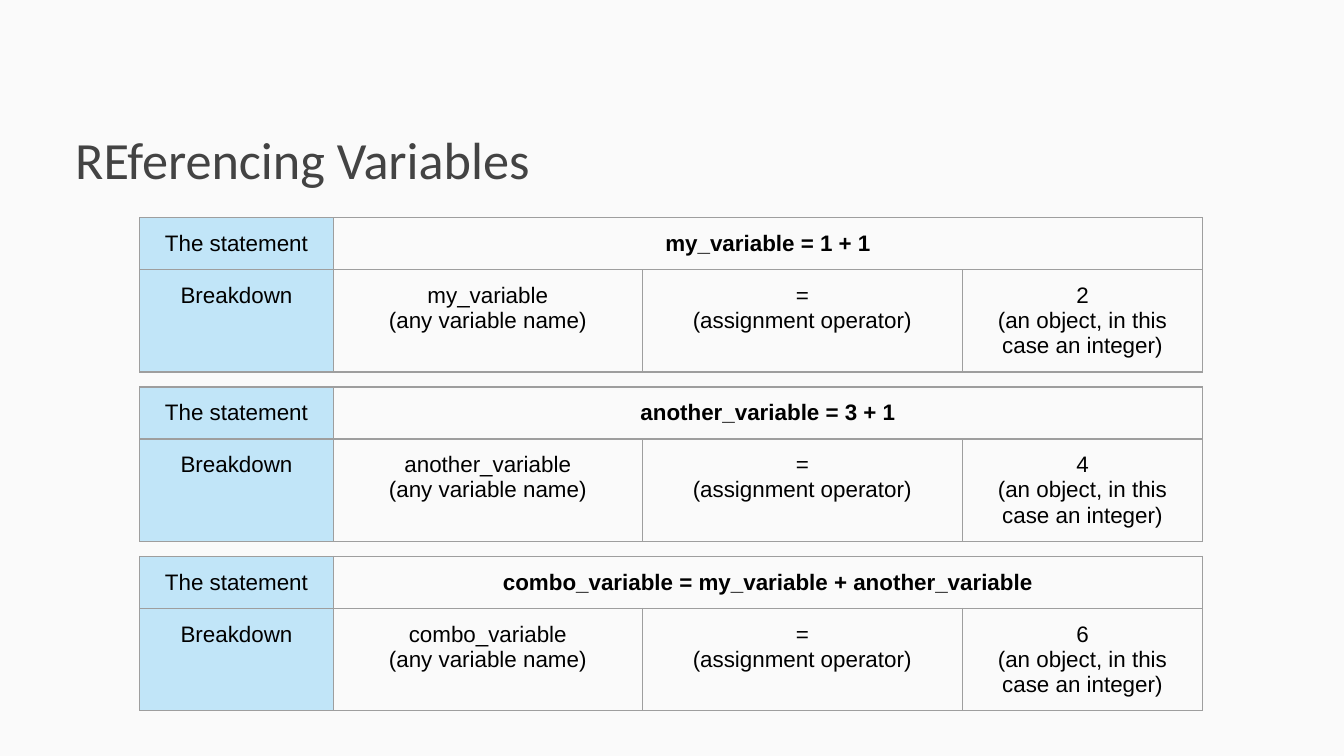
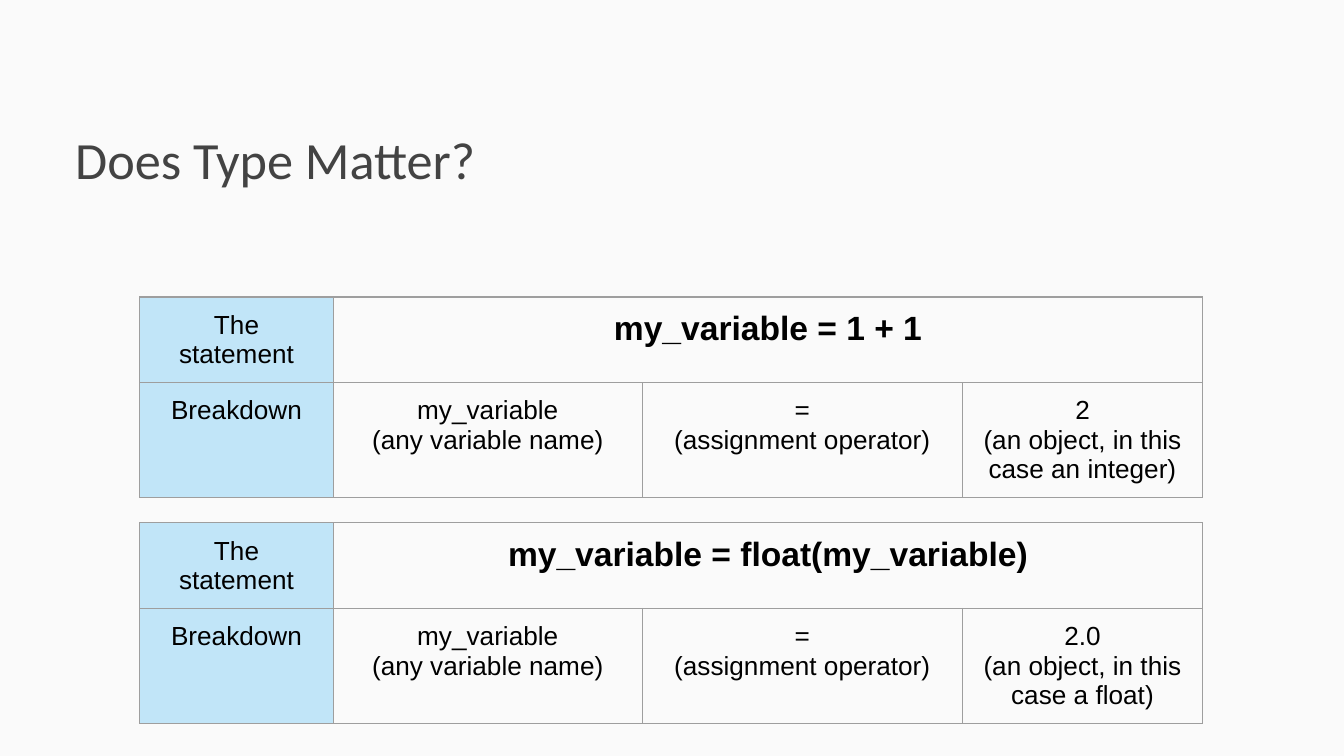
from lxml.etree import SubElement
from pptx import Presentation
from pptx.dml.color import RGBColor
from pptx.enum.text import MSO_ANCHOR, MSO_AUTO_SIZE, PP_ALIGN
from pptx.oxml.ns import qn
from pptx.util import Inches, Pt

# Shared look
BG, TITLE, INK = "FAFAFA", "434343", "000000"
LABEL_FILL, GRID = "C1E5F8", "9E9E9E"
INSET = Inches(0.1)
LEFT = 1.04
COLS = [1.44, 2.3, 2.38, 1.79]


def rgb(value):
    return RGBColor.from_string(value)


def write(tf, text, font="Arial", size=12, color=INK, bold=False,
          align=PP_ALIGN.CENTER):
    """Fill a text frame, one paragraph per line of text."""
    tf.word_wrap = True
    tf.margin_left = tf.margin_right = INSET
    tf.margin_top = tf.margin_bottom = INSET
    for i, line in enumerate(text.split("\n")):
        p = tf.paragraphs[0] if i == 0 else tf.add_paragraph()
        p.alignment = align
        r = p.add_run()
        r.text = line
        r.font.name, r.font.size, r.font.bold = font, Pt(size), bold
        r.font.color.rgb = rgb(color)


# Each table: statement, variable, value, type of the value
slides = [
    dict(title="REferencing Variables", width=8.49, top=1.62, step=1.26,
         rows=[0.37, 0.73], size=12, statement_size=12,
         tables=[
             ("my_variable = 1 + 1", "my_variable", "2", "an integer"),
             ("another_variable = 3 + 1", "another_variable", "4", "an integer"),
             ("combo_variable = my_variable + another_variable",
              "combo_variable", "6", "an integer"),
         ]),
    dict(title="Does Type Matter?", width=5.11, top=2.21, step=1.68,
         rows=[0.42, 0.42], size=14, statement_size=18,
         tables=[
             ("my_variable = 1 + 1", "my_variable", "2", "an integer"),
             ("my_variable = float(my_variable)", "my_variable", "2.0", "a float"),
         ]),
]

# Widescreen, 16 to 9
prs = Presentation()
prs.slide_width = Inches(10)
prs.slide_height = prs.slide_width * 9 // 16

for page in slides:
    s = prs.slides.add_slide(prs.slide_layouts[0])
    s.background.fill.solid()
    s.background.fill.fore_color.rgb = rgb(BG)
    subtitle = s.placeholders[1].element
    subtitle.getparent().remove(subtitle)

    # Title
    sp = s.shapes.title
    sp.left, sp.top = Inches(0.46), Inches(0.85)
    sp.width, sp.height = Inches(page["width"]), Inches(0.42)
    tf = sp.text_frame
    tf.auto_size = MSO_AUTO_SIZE.NONE
    tf.vertical_anchor = MSO_ANCHOR.TOP
    write(tf, page["title"], font="Calibri", size=28, color=TITLE,
          align=PP_ALIGN.LEFT)

    # Statement tables, stacked at an equal step
    for n, (statement, variable, value, kind) in enumerate(page["tables"]):
        frame = s.shapes.add_table(
            2, len(COLS), Inches(LEFT), Inches(page["top"] + n * page["step"]),
            Inches(sum(COLS)), Inches(sum(page["rows"])))
        table = frame.table
        table.first_row = table.horz_banding = False
        for column, width in zip(table.columns, COLS):
            column.width = Inches(width)
        for row, height in zip(table.rows, page["rows"]):
            row.height = Inches(height)
        table.cell(0, 1).merge(table.cell(0, 3))

        # Words
        size = page["size"]
        write(table.cell(0, 0).text_frame, "The statement", size=size)
        write(table.cell(0, 1).text_frame, statement,
              size=page["statement_size"], bold=True)
        breakdown = ["Breakdown",
                     f"{variable}\n(any variable name)",
                     "=\n(assignment operator)",
                     f"{value}\n(an object, in this case {kind})"]
        for c, text in enumerate(breakdown):
            write(table.cell(1, c).text_frame, text, size=size)

        # Borders and fills
        for i, cell in enumerate(table.iter_cells()):
            cell.margin_left = cell.margin_right = INSET
            cell.margin_top = cell.margin_bottom = INSET
            tcPr = cell._tc.get_or_add_tcPr()
            for side in ("lnL", "lnR", "lnT", "lnB"):
                ln = SubElement(tcPr, qn(f"a:{side}"), w=str(Pt(0.75)))
                fill = SubElement(ln, qn("a:solidFill"))
                SubElement(fill, qn("a:srgbClr"), val=GRID)
            if i % len(COLS) == 0:
                cell.fill.solid()
                cell.fill.fore_color.rgb = rgb(LABEL_FILL)
            else:
                cell.fill.background()

prs.save("out.pptx")
